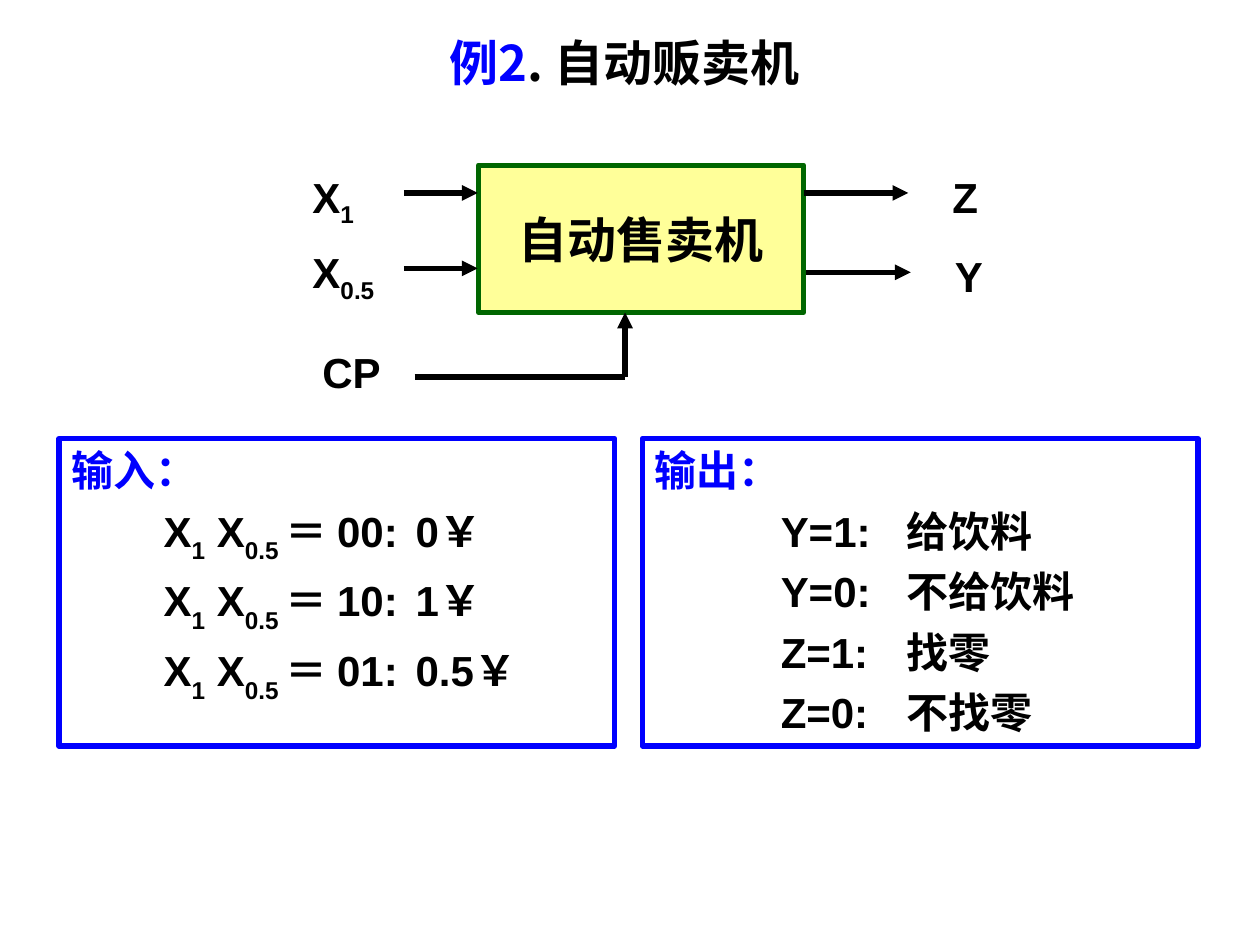
from lxml import etree
from pptx import Presentation
from pptx.dml.color import RGBColor
from pptx.enum.shapes import MSO_CONNECTOR, MSO_SHAPE
from pptx.enum.text import MSO_ANCHOR, PP_ALIGN
from pptx.oxml.ns import qn
from pptx.util import Cm, Pt

RECTANGLE = MSO_SHAPE.RECTANGLE
STRAIGHT = MSO_CONNECTOR.STRAIGHT
TOP, MIDDLE = MSO_ANCHOR.TOP, MSO_ANCHOR.MIDDLE
LEFT, CENTER = PP_ALIGN.LEFT, PP_ALIGN.CENTER
BLACK, BLUE, GREEN, YELLOW = "000000", "0000FF", "006600", "FFFF99"
LATIN, CHINESE = "Arial", "Noto Sans CJK SC"


def colour(value):
    return RGBColor.from_string(value)


class SlideBuilder:
    line_width = Pt(3)
    body_size = 24
    title_size = 28

    def __init__(self, page):
        self.page = page

    def add_spans(self, para, spans, size=body_size, align=LEFT):
        """Each span is (text, colour, font, baseline shift in percent)."""
        para.alignment = align
        for text, ink, font, shift in spans:
            span = para.add_run()
            span.text = text
            formats = {"size": Pt(size), "bold": True, "name": font}
            for name, value in formats.items():
                setattr(span.font, name, value)
            span.font.color.rgb = colour(ink)
            if shift:
                span.font._element.set("baseline", str(shift * 1000))

    def set_frame(self, box, anchor=TOP, wrap=True):
        frame = box.text_frame
        formats = {"word_wrap": wrap, "vertical_anchor": anchor}
        for name, value in formats.items():
            setattr(frame, name, value)
        return frame

    def text(self, left, top, width, height, spans, **style):
        box = self.page.shapes.add_textbox(Cm(left), Cm(top), Cm(width), Cm(height))
        self.add_spans(self.set_frame(box).paragraphs[0], spans, **style)

    def rectangle(self, left, top, width, height, line, fill=None):
        box = self.page.shapes.add_shape(
            RECTANGLE, Cm(left), Cm(top), Cm(width), Cm(height))
        box.shadow.inherit = False
        if fill:
            box.fill.solid()
            box.fill.fore_color.rgb = colour(fill)
        else:
            box.fill.background()
        box.line.color.rgb = colour(line)
        box.line.width = self.line_width
        return box

    def line(self, start_x, start_y, end_x, end_y, arrow=True):
        connector = self.page.shapes.add_connector(
            STRAIGHT, Cm(start_x), Cm(start_y), Cm(end_x), Cm(end_y))
        connector.line.color.rgb = colour(BLACK)
        connector.line.width = self.line_width
        if arrow:
            outline = connector.line._get_or_add_ln()
            etree.SubElement(outline, qn("a:tailEnd"), type="triangle")
        etree.SubElement(connector._element.spPr, qn("a:effectLst"))

    def panel(self, left, heading, rows, indent, space):
        """rows holds (spans, tab position) pairs under a blue heading."""
        box = self.rectangle(left, 8.84, 11.2, 6.2, BLUE)
        frame = self.set_frame(box)
        self.add_spans(frame.paragraphs[0], [(heading, BLUE, CHINESE, 0)])
        for spans, tab in rows:
            para = frame.add_paragraph()
            para.space_before = Pt(space)
            properties = para._p.get_or_add_pPr()
            properties.set("marL", str(Cm(indent)))
            properties.set("indent", "0")
            tabs = etree.SubElement(properties, qn("a:tabLst"))
            etree.SubElement(tabs, qn("a:tab"), pos=str(Cm(tab)), algn="l")
            self.add_spans(para, spans)


def plain(text, shift=0):
    return (text, BLACK, LATIN, shift)


def main():
    deck = Presentation()
    deck.slide_width, deck.slide_height = Cm(25.4), Cm(19.05)
    builder = SlideBuilder(deck.slides.add_slide(deck.slide_layouts[6]))

    # Title
    builder.text(2.29, 0.53, 20.6, 1.45,
                 [("例2", BLUE, CHINESE, 0), (". 自动贩卖机", BLACK, CHINESE, 0)],
                 size=builder.title_size, align=CENTER)

    # Vending machine block
    machine = builder.rectangle(9.65, 3.33, 6.55, 2.97, GREEN, YELLOW)
    frame = builder.set_frame(machine, MIDDLE, wrap=False)
    builder.add_spans(frame.paragraphs[0], [plain("自动售卖机")],
                      builder.title_size, CENTER)

    # Inputs, outputs and clock
    signals = [
        (6.05, 3.33, 1.47, [plain("X"), plain("1", -25)]),
        (6.05, 4.85, 2.01, [plain("X"), plain("0.5", -25)]),
        (6.25, 6.86, 1.9, [plain("CP")]),
        (18.95, 3.33, 1.9, [plain("Z")]),
        (19.0, 4.93, 1.9, [plain("Y")]),
    ]
    for left, top, width, spans in signals:
        builder.text(left, top, width, 1.27, spans)
    for start, end, height in [(8.14, 9.63, 3.89), (8.14, 9.63, 5.41),
                               (16.2, 18.31, 3.89), (16.25, 18.36, 5.49)]:
        builder.line(start, height, end, height)
    builder.line(8.36, 7.6, 12.6, 7.6, arrow=False)
    builder.line(12.6, 7.6, 12.6, 6.3)

    # Input and output panels
    coins = [("00", "0"), ("10", "1"), ("01", "0.5")]
    input_rows = [
        ([plain("X"), plain("1", -30), plain(" X"), plain("0.5 ", -30),
          plain(f"＝ {code}:\t{amount}￥")], 7.57)
        for code, amount in coins]
    builder.panel(1.19, "输入：", input_rows, indent=1.86, space=5.8)

    meanings = [("Y=1", "给饮料", 5.03), ("Y=0", "不给饮料", 5.03),
                ("Z=1", "找零", 5.23), ("Z=0", "不找零", 5.23)]
    output_rows = [([plain(f"{code}:\t{meaning}")], tab)
                   for code, meaning, tab in meanings]
    builder.panel(12.95, "输出：", output_rows, indent=2.54, space=5.8)

    deck.save("out.pptx")


if __name__ == "__main__":
    main()
